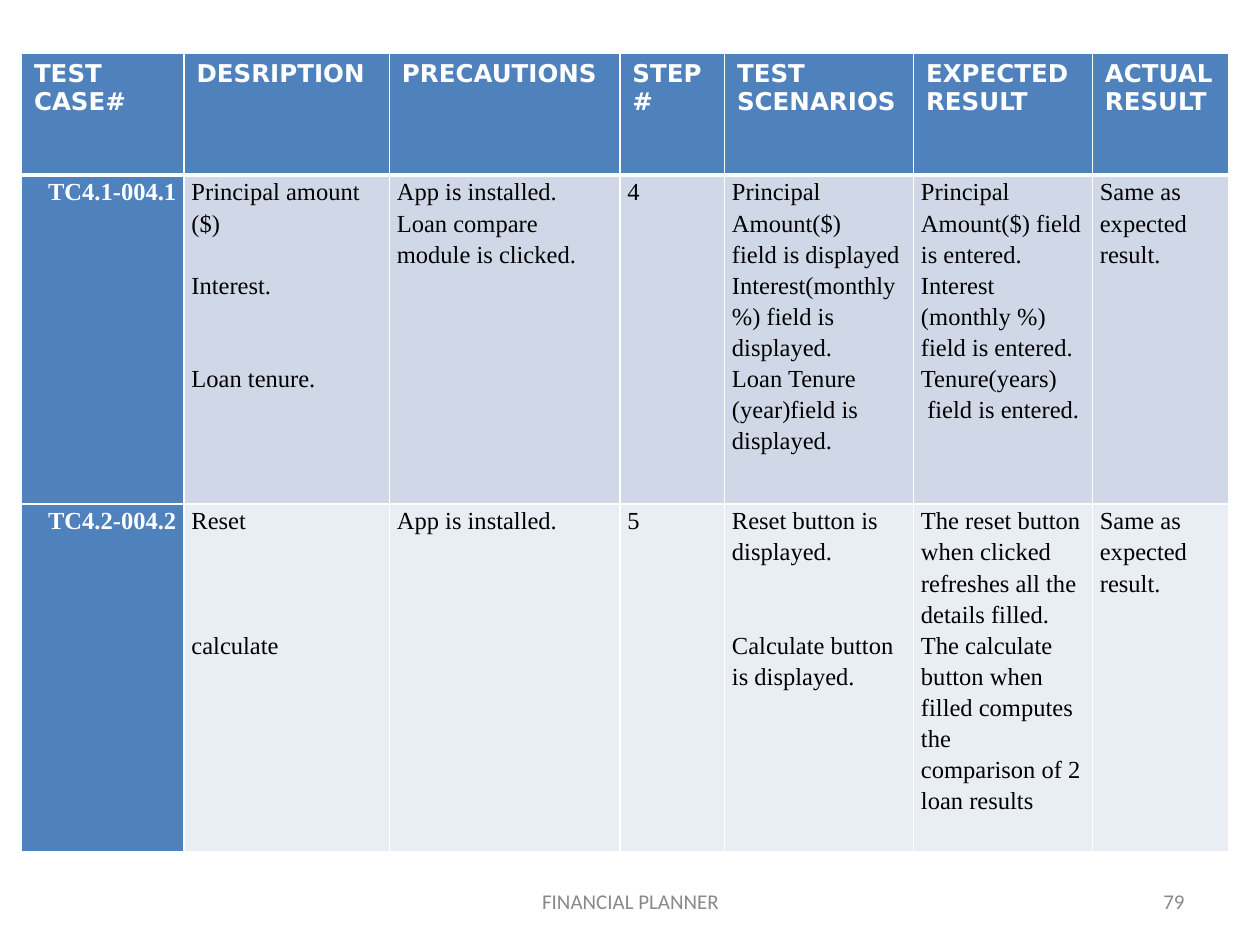
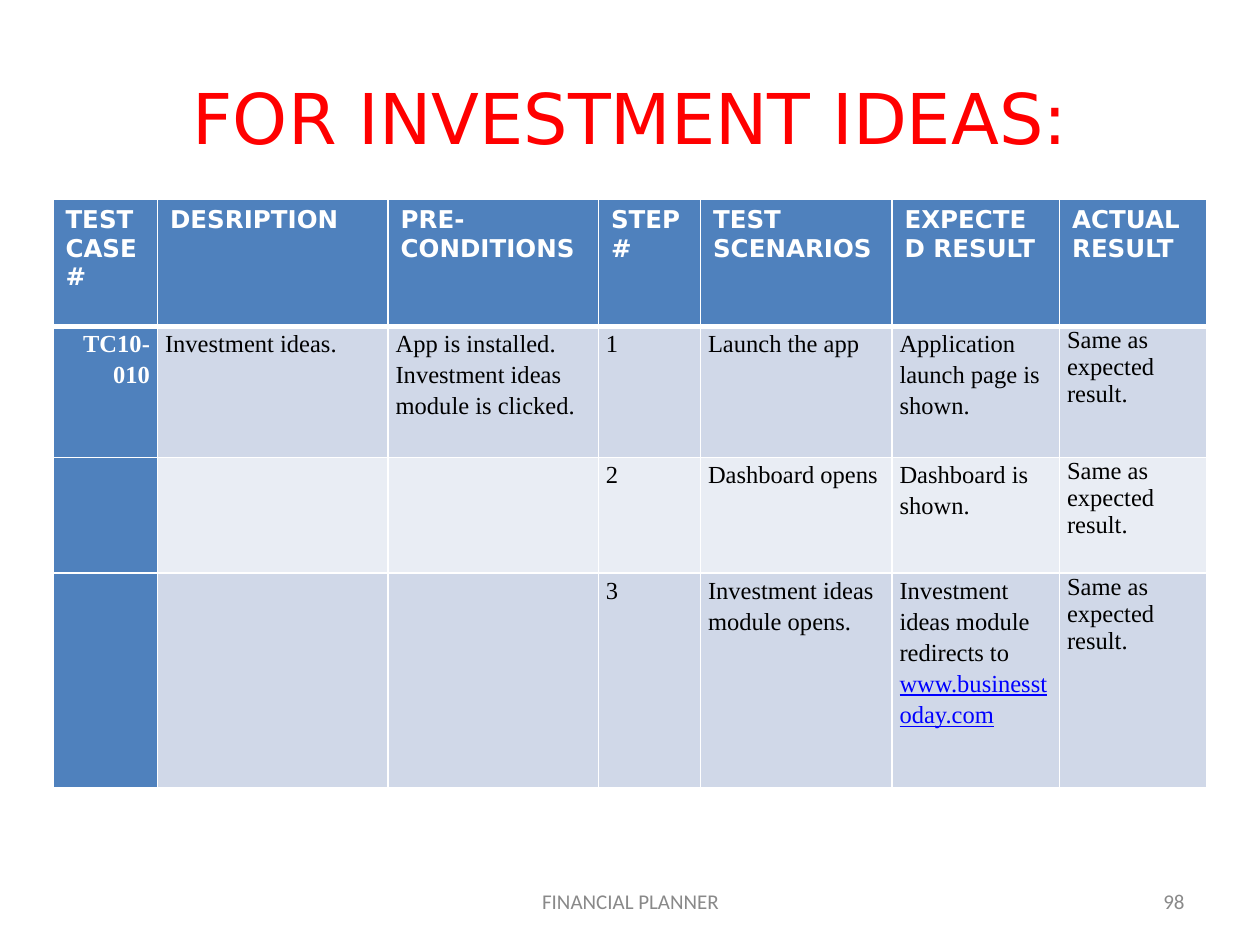
"""Build two test case slides for a financial planner."""
from lxml import etree
from pptx import Presentation
from pptx.dml.color import RGBColor
from pptx.enum import text as enum_text
from pptx.oxml import ns
from pptx.util import Inches, Pt

COLORS = {"header": "4F81BD", "odd": "D0D8E8", "even": "E9EDF4", "white": "FFFFFF",
          "black": "000000", "title": "FF0000", "footer": "898989", "link": "0000FF"}
ALIGN = enum_text.PP_ALIGN
MIDDLE = enum_text.MSO_ANCHOR.MIDDLE
HEADER_FONT = {"name": "DejaVu Sans", "size": Pt(14), "bold": True}
CASE_FONT = {"name": "Times New Roman", "size": Pt(14), "bold": True}
BODY_FONT = {**CASE_FONT, "bold": False}
TITLE_FONT = {"name": "DejaVu Sans", "size": Pt(40), "bold": False}
FOOTER_FONT = {"name": "Calibri", "size": Pt(12)}
BODY_MARGINS = {"margin_left": Inches(0.06), "margin_right": Inches(0.06),
                "margin_top": 0, "margin_bottom": 0}
BODY_SPACING = 1.15
LINE_HEIGHT = 17.8
FOOTER = "FINANCIAL PLANNER"
LINK = "www.businesstoday.com"
SAME = ["Same as", "expected", "result."]
SAME_LINE = [" ".join(SAME)]

# A line is its text, or a tuple of text, blank lines above and left indent in inches.
SLIDES = [
    {
        "title": None, "number": "79", "left": 0.17, "top": 0.42, "result_spacing": BODY_SPACING,
        "columns": [1.29, 1.63, 1.83, 0.83, 1.5, 1.42, 1.08],
        "rows": [0.97, 2.61, 2.76],
        "cells": [
            [["TEST CASE#"], ["DESRIPTION"], ["PRECAUTIONS"], ["STEP#"],
             ["TEST SCENARIOS"], ["EXPECTED RESULT"], ["ACTUAL RESULT"]],
            [["TC4.1-004.1"],
             ["Principal amount", "($)", ("Interest.", 1, 0), ("Loan tenure.", 2, 0)],
             ["App is installed.", "Loan compare", "module is clicked."],
             ["4"],
             ["Principal Amount($)", "field is displayed", "Interest(monthly %) field is",
              "displayed.", "Loan Tenure", "(year)field is", "displayed."],
             ["Principal", "Amount($) field is entered.", "Interest", "(monthly %)",
              "field is entered.", "Tenure(years)", ("field is entered.", 0, 0.05)],
             SAME],
            [["TC4.2-004.2"],
             ["Reset", ("calculate", 3, 0)],
             ["App is installed."],
             ["5"],
             ["Reset button is displayed.", ("Calculate button is displayed.", 2, 0)],
             ["The reset button when clicked", "refreshes all the details filled.",
              "The calculate", "button when", "filled computes", "the",
              "comparison of 2 loan results"],
             SAME],
        ],
    },
    {
        "title": "FOR INVESTMENT IDEAS:", "number": "98", "left": 0.42, "top": 1.58,
        "result_spacing": 1.0,
        "columns": [0.83, 1.83, 1.67, 0.81, 1.52, 1.33, 1.17],
        "rows": [1.01, 1.04, 0.92, 1.7],
        "cells": [
            [["TEST CASE#"], ["DESRIPTION"], ["PRE-", "CONDITIONS"], ["STEP#"],
             ["TEST SCENARIOS"], ["EXPECTED RESULT"], ["ACTUAL RESULT"]],
            [["TC10-010"], ["Investment ideas."],
             ["App is installed.", "Investment ideas", "module is clicked."],
             ["1"], ["Launch the app"], ["Application", "launch page is shown."], SAME_LINE],
            [[], [], [], ["2"], ["Dashboard opens"], ["Dashboard is", "shown."], SAME_LINE],
            [[], [], [], ["3"], ["Investment ideas module opens."],
             ["Investment", "ideas module", "redirects to", LINK], SAME_LINE],
        ],
    },
]


def color(name):
    return RGBColor.from_string(COLORS[name])


def set_values(target, values):
    for name, value in values.items():
        setattr(target, name, value)


def write_lines(frame, lines, font, color_name, align=ALIGN.LEFT, spacing=1.0):
    for index, line in enumerate(lines):
        words, blanks, indent = line if isinstance(line, tuple) else (line, 0, 0)
        paragraph = frame.paragraphs[0] if index == 0 else frame.add_paragraph()
        set_values(paragraph, {"alignment": align, "line_spacing": spacing})
        if blanks:
            paragraph.space_before = Pt(blanks * LINE_HEIGHT)
        if indent:
            paragraph._p.get_or_add_pPr().set("marL", str(Inches(indent)))
        run = paragraph.add_run()
        run.text = words
        set_values(run.font, font)
        run.font.color.rgb = color("link" if words == LINK else color_name)
        if words == LINK:
            run.font.underline = True


def add_borders(cell, top, bottom):
    properties = cell._tc.get_or_add_tcPr()
    for side, width in (("L", 1), ("R", 1), ("T", top), ("B", bottom)):
        line = etree.SubElement(properties, ns.qn(f"a:ln{side}"), w=str(Pt(width)))
        fill = etree.SubElement(line, ns.qn("a:solidFill"))
        etree.SubElement(fill, ns.qn("a:srgbClr"), val=COLORS["white"])


def format_cell(cell, row, column, lines, result_spacing):
    add_borders(cell, top=3 if row == 1 else 1, bottom=3 if row == 0 else 1)
    is_head = row == 0 or column == 0
    cell.fill.solid()
    cell.fill.fore_color.rgb = color("header" if is_head else "odd" if row % 2 else "even")
    if row == 0:
        write_lines(cell.text_frame, lines, HEADER_FONT, "white")
        return
    set_values(cell, BODY_MARGINS)
    if column == 0:
        write_lines(cell.text_frame, lines, CASE_FONT, "white", ALIGN.RIGHT, BODY_SPACING)
    else:
        spacing = result_spacing if column == 6 else BODY_SPACING
        write_lines(cell.text_frame, lines, BODY_FONT, "black", spacing=spacing)


def add_test_table(slide, content):
    columns, rows = content["columns"], content["rows"]
    box = [Inches(n) for n in (content["left"], content["top"], sum(columns), sum(rows))]
    table = slide.shapes.add_table(len(rows), len(columns), *box).table
    set_values(table, {"first_row": False, "horz_banding": False})
    for column, width in zip(table.columns, columns):
        column.width = Inches(width)
    for row, height in zip(table.rows, rows):
        row.height = Inches(height)
    for row, line_sets in enumerate(content["cells"]):
        for column, lines in enumerate(line_sets):
            format_cell(table.cell(row, column), row, column, lines, content["result_spacing"])


def add_title(slide, words):
    title = slide.shapes.title
    set_values(title, {"left": Inches(0.5), "top": Inches(0.3),
                       "width": Inches(9), "height": Inches(1.25)})
    title.text_frame.vertical_anchor = MIDDLE
    write_lines(title.text_frame, [words], TITLE_FONT, "title", ALIGN.CENTER)


def add_footer(slide, words, left, width, align):
    box = slide.shapes.add_textbox(Inches(left), Inches(6.95), Inches(width), Inches(0.4))
    set_values(box.text_frame, {"word_wrap": True, "vertical_anchor": MIDDLE})
    write_lines(box.text_frame, [words], FOOTER_FONT, "footer", align)


def main():
    presentation = Presentation()
    set_values(presentation, {"slide_width": Inches(10), "slide_height": Inches(7.5)})
    for content in SLIDES:
        layout = presentation.slide_layouts[5 if content["title"] else 6]
        slide = presentation.slides.add_slide(layout)
        if content["title"]:
            add_title(slide, content["title"])
        add_test_table(slide, content)
        add_footer(slide, content["number"], 7.17, 2.33, ALIGN.RIGHT)
        add_footer(slide, FOOTER, 3.42, 3.17, ALIGN.CENTER)
    presentation.save("out.pptx")


if __name__ == "__main__":
    main()
